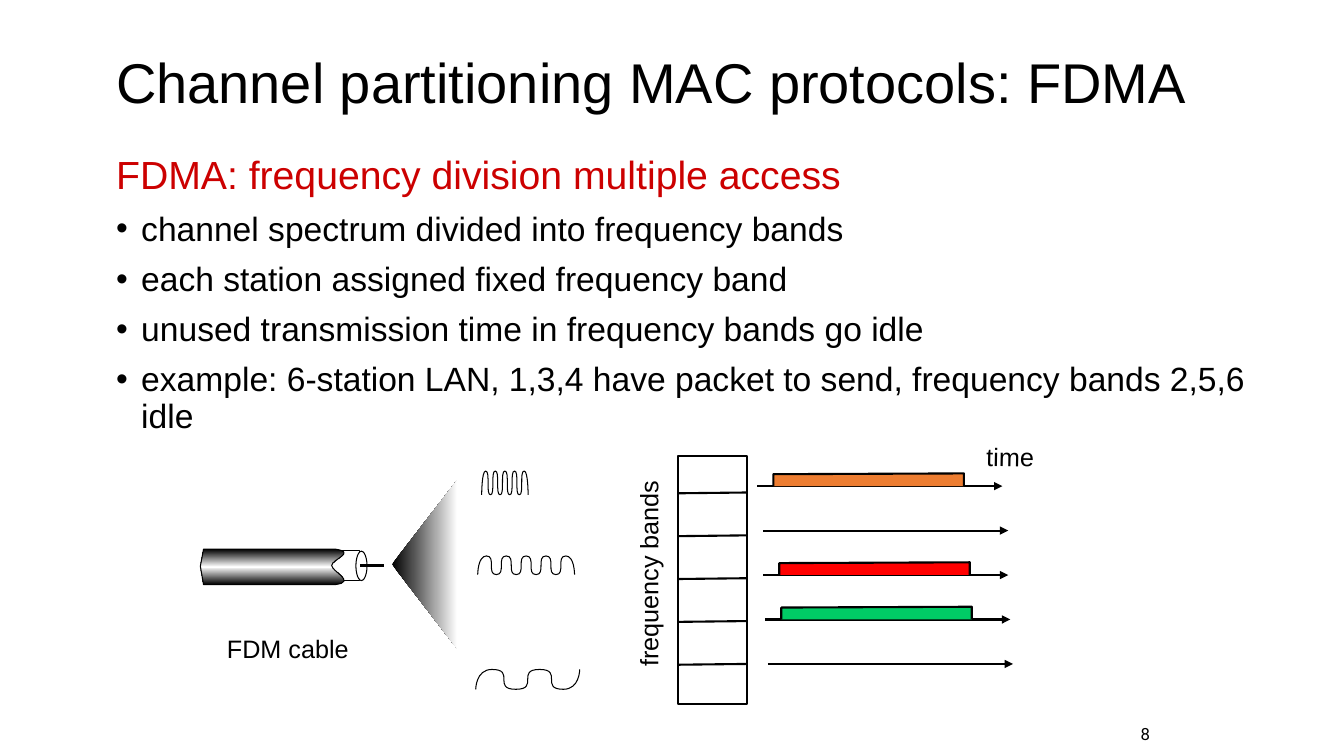
from copy import deepcopy

from lxml.etree import SubElement
from pptx import Presentation
from pptx.dml.color import RGBColor
from pptx.enum.shapes import MSO_CONNECTOR, MSO_SHAPE
from pptx.enum.text import MSO_ANCHOR, MSO_AUTO_SIZE, PP_ALIGN
from pptx.oxml.ns import qn
from pptx.util import Cm, Pt

BLACK = RGBColor(0x00, 0x00, 0x00)
WHITE = RGBColor(0xFF, 0xFF, 0xFF)
DARK_RED = RGBColor(0xCC, 0x00, 0x00)
ORANGE = RGBColor(0xED, 0x7D, 0x31)
RED = RGBColor(0xFF, 0x00, 0x00)
GREEN = RGBColor(0x00, 0xCC, 0x66)


class SlideBuilder:
    """Draws on one slide; all positions are in centimetres."""

    font = "Arial"

    def __init__(self, slide):
        self.slide = slide
        self.shapes = slide.shapes

    def style_runs(self, p, size, color=BLACK, font=None):
        for r in p.runs:
            r.font.name = font or self.font
            r.font.size = Pt(size)
            r.font.color.rgb = color

    def finish(self, sp, fill=None, line=0.75):
        """Fill with nothing, one colour or a (colours, angle) gradient, and outline."""
        sp.shadow.inherit = False
        if fill is None:
            sp.fill.background()
        elif isinstance(fill, RGBColor):
            sp.fill.solid()
            sp.fill.fore_color.rgb = fill
        else:
            colors, angle = fill
            sp.fill.gradient()
            sp.fill.gradient_angle = angle
            stops = sp._element.find(".//" + qn("a:gsLst"))
            while len(stops) < len(colors):
                stops.append(deepcopy(stops[-1]))
            for i, (stop, color) in enumerate(zip(sp.fill.gradient_stops, colors)):
                stop.position = i / (len(colors) - 1)
                stop.color.rgb = color
        if line:
            sp.line.color.rgb = BLACK
            sp.line.width = Pt(line)
        else:
            sp.line.fill.background()

    def title(self, text, x, y, w, h):
        sp = self.shapes.title
        sp.left, sp.top, sp.width, sp.height = Cm(x), Cm(y), Cm(w), Cm(h)
        tf = sp.text_frame
        tf.text = text
        tf.word_wrap = True
        tf.auto_size = MSO_AUTO_SIZE.NONE
        tf.vertical_anchor = MSO_ANCHOR.MIDDLE
        p = tf.paragraphs[0]
        p.alignment = PP_ALIGN.LEFT
        p.line_spacing = 0.9
        self.style_runs(p, 40)

    def bullets(self, heading, items, x, y, w, h):
        tf = self.shapes.add_textbox(Cm(x), Cm(y), Cm(w), Cm(h)).text_frame
        tf.word_wrap = True
        tf.text = "\n".join([heading, *items])
        for i, p in enumerate(tf.paragraphs):
            pPr = p._p.get_or_add_pPr()
            pPr.set("marL", str(Cm(0.63)))
            pPr.set("indent", str(-Cm(0.63)))
            if i:
                SubElement(pPr, qn("a:buFont"), typeface="Arial")
                SubElement(pPr, qn("a:buChar"), char="•")
                p.space_before = Pt(10)
            p.line_spacing = 0.9
            self.style_runs(p, 24 if i else 28, BLACK if i else DARK_RED)

    def label(self, text, x, y, w, h, rotation=0):
        sp = self.shapes.add_textbox(Cm(x), Cm(y), Cm(w), Cm(h))
        sp.rotation = rotation
        tf = sp.text_frame
        tf.word_wrap = False
        tf.auto_size = MSO_AUTO_SIZE.SHAPE_TO_FIT_TEXT
        tf.text = text
        self.style_runs(tf.paragraphs[0], 18)

    def page_number(self, text, x, y, w, h):
        tf = self.shapes.add_textbox(Cm(x), Cm(y), Cm(w), Cm(h)).text_frame
        tf.word_wrap = True
        tf.vertical_anchor = MSO_ANCHOR.MIDDLE
        tf.text = text
        tf.paragraphs[0].alignment = PP_ALIGN.RIGHT
        self.style_runs(tf.paragraphs[0], 12, font="Roboto")

    def shape(self, kind, x, y, w, h, line=0.75):
        self.finish(self.shapes.add_shape(kind, Cm(x), Cm(y), Cm(w), Cm(h)), WHITE, line)

    def line(self, x1, y1, x2, y2, width=1.5, arrow=False):
        s = self.shapes.add_connector(MSO_CONNECTOR.STRAIGHT, Cm(x1), Cm(y1), Cm(x2), Cm(y2))
        s.line.color.rgb = BLACK
        s.line.width = Pt(width)
        if arrow:
            SubElement(s.line._get_or_add_ln(), qn("a:tailEnd"), type="triangle")
        SubElement(s._element.spPr, qn("a:effectLst"))

    def outline(self, start, segments, fill=None, line=0.75, close=False):
        """A segment is one point list: [end] is straight, [c1, c2, end] a cubic curve."""
        builder = self.shapes.build_freeform(Cm(start[0]), Cm(start[1]))
        builder.add_line_segments([(Cm(x), Cm(y)) for seg in segments for x, y in seg],
                                  close=close)
        sp = builder.convert_to_shape()
        nodes = iter(list(sp._element.iter(qn("a:lnTo"))))
        for seg in segments:
            node = next(nodes)
            if len(seg) == 3:
                node.tag = qn("a:cubicBezTo")
                for extra in (next(nodes), next(nodes)):
                    node.append(extra[0])
                    extra.getparent().remove(extra)
        self.finish(sp, fill, line)

    def wave(self, left, right, top, bottom, halves, end):
        """Half waves of equal width between a first and a last one of width end."""
        pitch = (right - left - 2 * end) / (halves - 2)
        xs = [left, *(left + end + i * pitch for i in range(halves - 1)), right]
        curves = []
        for i, (x0, x1) in enumerate(zip(xs, xs[1:])):
            y0, y1 = (top, bottom) if i % 2 else (bottom, top)
            c1 = x0 if i == 0 else x1
            c2 = x1 if i == halves - 1 else x0
            curves.append([(c1, y0), (c2, y1), (x1, y1)])
        self.outline((left, bottom), curves)


def draw_bands(b):
    left, right = 17.09, 18.83
    b.shape(MSO_SHAPE.RECTANGLE, left, 11.5, right - left, 6.25, line=1.5)
    for i in range(5):
        y = 12.41 + 1.08 * i
        b.line(left, y + 0.02, right, y)
    axes = [(19.08, ORANGE), (19.23, None), (19.23, RED), (19.28, GREEN), (19.35, None)]
    for i, (x, color) in enumerate(axes):
        y = 12.25 + 1.12 * i
        b.line(x, y, x + 6.18, y, arrow=True)
        if color is not None:
            x0, x1 = x + 0.41, x + 5.21
            b.outline((x0, y), [[(x0, y - 0.3)], [(x1, y - 0.32)], [(x1, y)]], color, 1.5)
    b.label("frequency bands", 13.74, 13.94, 5.21, 1.02, rotation=270)
    b.label("time", 24.61, 11, 1.7, 1.02, rotation=1.1)


def draw_cable(b):
    b.outline((11.53, 12.09), [[(9.88, 14.22)], [(11.53, 16.36)]],
              ((BLACK, WHITE), 0), line=0, close=True)
    b.shape(MSO_SHAPE.RECTANGLE, 8.33, 13.87, 0.74, 0.76)
    b.outline((5.13, 13.84), [
        [(5.05, 14.27)], [(5.13, 14.73)], [(8.46, 14.73)],
        [(8.99, 14.66), (8.36, 14.4), (8.36, 14.25)],
        [(8.36, 14.1), (8.99, 13.92), (8.46, 13.84)],
    ], ((BLACK, WHITE, BLACK), 90), close=True)
    b.shape(MSO_SHAPE.OVAL, 8.97, 13.89, 0.28, 0.74)
    b.line(9.07, 14.25, 9.68, 14.25, width=2.25)
    b.wave(12.04, 14.48, 14.01, 14.48, halves=10, end=0.22)
    b.wave(12.14, 13.31, 11.87, 12.47, halves=10, end=0.1)
    b.wave(11.99, 14.61, 16.87, 17.37, halves=5, end=0.41)
    b.label("FDM cable", 5.47, 15.84, 3.58, 1.02)


def main():
    prs = Presentation()
    prs.slide_width, prs.slide_height = Cm(33.87), Cm(19.05)
    b = SlideBuilder(prs.slides.add_slide(prs.slide_layouts[5]))
    b.title("Channel partitioning MAC protocols: FDMA", 2.67, 0.57, 28.09, 3.18)
    b.bullets("FDMA: frequency division multiple access", [
        "channel spectrum divided into frequency bands",
        "each station assigned fixed frequency band",
        "unused transmission time in frequency bands go idle",
        "example: 6-station LAN, 1,3,4 have packet to send, frequency bands 2,5,6 idle",
    ], 2.68, 3.8, 30, 12.9)
    draw_bands(b)
    draw_cable(b)
    b.page_number("8", 27.71, 18.11, 1.52, 0.76)
    prs.save("out.pptx")


if __name__ == "__main__":
    main()
